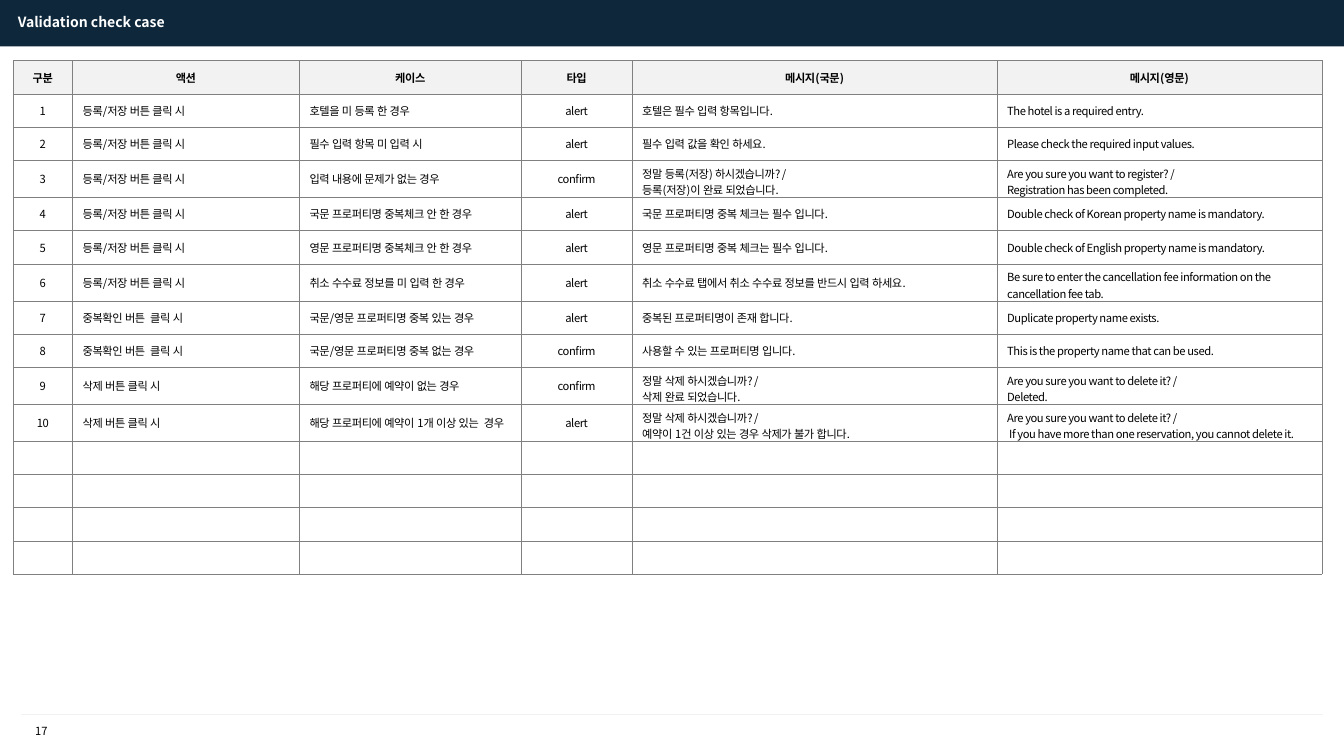
"""Build the validation check case slide with its table of messages."""
from lxml.etree import SubElement
from pptx import Presentation
from pptx.dml.color import RGBColor
from pptx.enum.lang import MSO_LANGUAGE_ID
from pptx.enum.shapes import MSO_CONNECTOR, MSO_SHAPE
from pptx.enum.text import MSO_ANCHOR, MSO_AUTO_SIZE, PP_ALIGN
from pptx.oxml import parse_xml
from pptx.oxml.ns import nsdecls, qn
from pptx.util import Inches, Pt

FONT = "Noto Sans CJK KR"
SAVE = "등록/저장 버튼 클릭 시"
CHECK = "중복확인 버튼  클릭 시"
DELETE = "삭제 버튼 클릭 시"
HEADINGS = ("구분", "액션", "케이스", "타입", "메시지(국문)", "메시지(영문)")
CASES = [
    (SAVE, "호텔을 미 등록 한 경우", "alert",
     "호텔은 필수 입력 항목입니다.", "The hotel is a required entry."),
    (SAVE, "필수 입력 항목 미 입력 시", "alert",
     "필수 입력 값을 확인 하세요.", "Please check the required input values."),
    (SAVE, "입력 내용에 문제가 없는 경우", "confirm",
     "정말 등록(저장) 하시겠습니까? /\n등록(저장)이 완료 되었습니다.",
     "Are you sure you want to register? /\nRegistration has been completed."),
    (SAVE, "국문 프로퍼티명 중복체크 안 한 경우", "alert",
     "국문 프로퍼티명 중복 체크는 필수 입니다.",
     "Double check of Korean property name is mandatory."),
    (SAVE, "영문 프로퍼티명 중복체크 안 한 경우", "alert",
     "영문 프로퍼티명 중복 체크는 필수 입니다.",
     "Double check of English property name is mandatory."),
    (SAVE, "취소 수수료 정보를 미 입력 한 경우", "alert",
     "취소 수수료 탭에서 취소 수수료 정보를 반드시 입력 하세요.",
     "Be sure to enter the cancellation fee information on the cancellation fee tab."),
    (CHECK, "국문/영문 프로퍼티명 중복 있는 경우", "alert",
     "중복된 프로퍼티명이 존재 합니다.", "Duplicate property name exists."),
    (CHECK, "국문/영문 프로퍼티명 중복 없는 경우", "confirm",
     "사용할 수 있는 프로퍼티명 입니다.", "This is the property name that can be used."),
    (DELETE, "해당 프로퍼티에 예약이 없는 경우", "confirm",
     "정말 삭제 하시겠습니까? /\n삭제 완료 되었습니다.",
     "Are you sure you want to delete it? /\nDeleted."),
    (DELETE, "해당 프로퍼티에 예약이 1개 이상 있는  경우", "alert",
     "정말 삭제 하시겠습니까? /\n예약이 1건 이상 있는 경우 삭제가 불가 합니다.",
     "Are you sure you want to delete it? /\n"
     " If you have more than one reservation, you cannot delete it."),
]
EMPTY_ROWS = 4
COLUMN_WIDTHS = (0.59, 2.25, 2.2, 1.1, 3.62, 3.22)
CENTRED_COLUMNS = (0, 3)
ROW_HEIGHT = 0.33


def color(value):
    return RGBColor.from_string(value)


def write(frame, text, size=8, ink="000000", bold=False, align=PP_ALIGN.LEFT, spacing=0):
    frame.text = text
    for paragraph in frame.paragraphs:
        paragraph.alignment = align
        for run in paragraph.runs:
            run.font.name, run.font.size, run.font.bold = FONT, Pt(size), bold
            run.font.language_id = MSO_LANGUAGE_ID.KOREAN
            run.font.color.rgb = color(ink)
            properties = run.font._element
            SubElement(properties, qn("a:ea")).set("typeface", FONT)
            if spacing:
                properties.set("spc", str(spacing))
        if not paragraph.runs:
            SubElement(paragraph._p, qn("a:endParaRPr")).set("sz", str(size * 100))


presentation = Presentation()
presentation.slide_width, presentation.slide_height = Inches(13.33), Inches(7.5)
slide = presentation.slides.add_slide(presentation.slide_layouts[6])
shapes = slide.shapes

header = shapes.add_shape(MSO_SHAPE.RECTANGLE, 0, 0, presentation.slide_width, Inches(0.46))
header.shadow.inherit = False
header.fill.solid()
header.fill.fore_color.rgb = color("0E273B")
header.line.fill.background()

footer_line = shapes.add_connector(
    MSO_CONNECTOR.STRAIGHT, Inches(0.21), Inches(7.09), Inches(13.12), Inches(7.09))
footer_line.line.color.rgb = color("F2F2F2")
footer_line.line.width = Pt(0.75)
SubElement(footer_line._element.spPr, qn("a:effectLst"))

labels = [
    ("17", (0.17, 7.14, 0.48, 0.24), 0.05, False, dict(align=PP_ALIGN.CENTER)),
    ("Validation check case", (0.08, 0.09, 3.44, 0.27), 0.04, True,
     dict(size=10, ink="FFFFFF", bold=True)),
]
for text, place, margin, wrap, style in labels:
    frame = shapes.add_textbox(*map(Inches, place)).text_frame
    frame.word_wrap = wrap
    frame.auto_size = MSO_AUTO_SIZE.SHAPE_TO_FIT_TEXT
    frame.margin_top = frame.margin_bottom = Inches(margin)
    write(frame, text, **style)

rows = [HEADINGS]
rows += [(str(number), *case) for number, case in enumerate(CASES, 1)]
rows += [("",) * len(HEADINGS)] * EMPTY_ROWS
table = shapes.add_table(
    len(rows), len(HEADINGS), Inches(0.13), Inches(0.6),
    Inches(sum(COLUMN_WIDTHS)), Inches(ROW_HEIGHT * len(rows))).table
for column, width in zip(table.columns, COLUMN_WIDTHS):
    column.width = Inches(width)
for row_index, row in enumerate(rows):
    table.rows[row_index].height = Inches(ROW_HEIGHT)
    heading = row_index == 0
    for column_index, text in enumerate(row):
        cell = table.cell(row_index, column_index)
        cell.vertical_anchor = MSO_ANCHOR.MIDDLE
        cell.fill.solid()
        cell.fill.fore_color.rgb = color("F2F2F2" if heading else "FFFFFF")
        centred = heading or column_index in CENTRED_COLUMNS
        write(cell.text_frame, text, bold=heading, spacing=-30,
              align=PP_ALIGN.CENTER if centred else PP_ALIGN.LEFT)
        for position, side in enumerate("LRTB"):
            cell._tc.get_or_add_tcPr().insert(position, parse_xml(
                f'<a:ln{side} {nsdecls("a")} w="{Pt(0.25)}"><a:solidFill>'
                f'<a:srgbClr val="808080"/></a:solidFill></a:ln{side}>'))

presentation.save("out.pptx")
